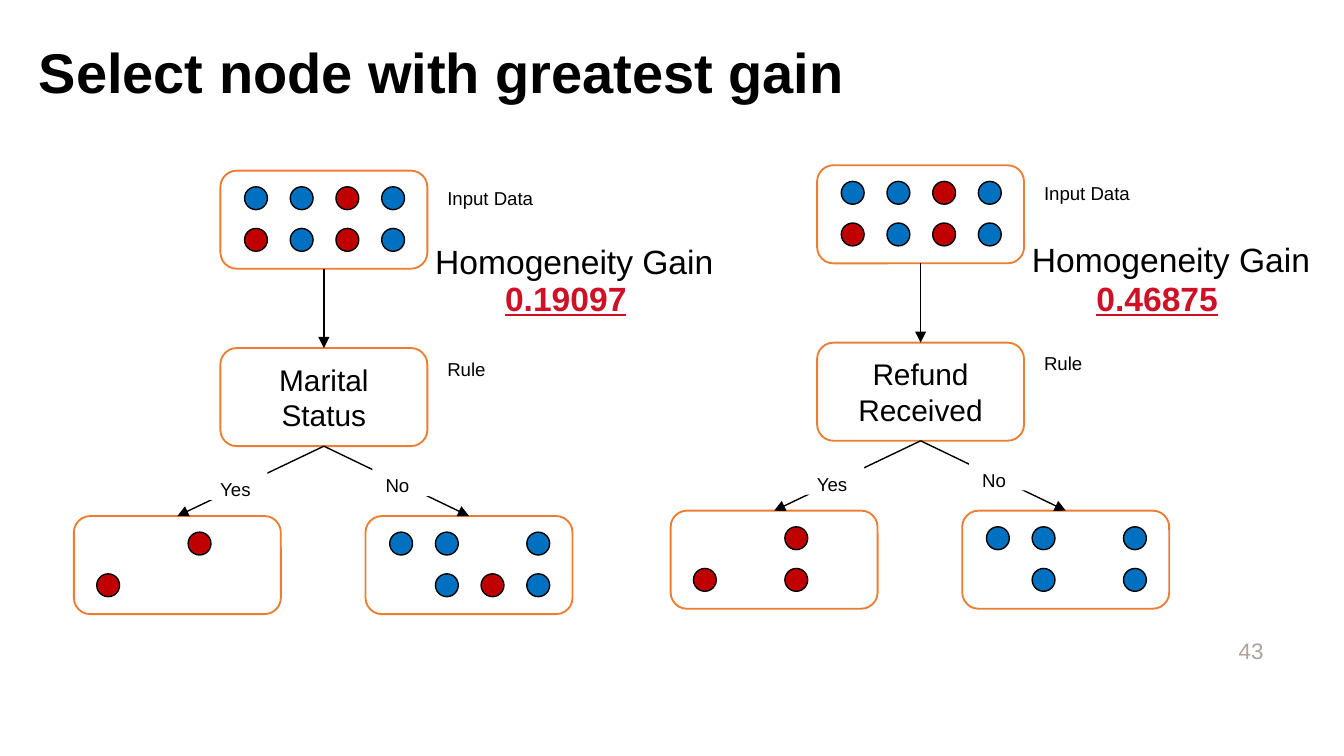
from pptx import Presentation, util as u
from pptx.enum import shapes, text
from pptx.dml.color import RGBColor
from pptx.oxml.ns import qn
from lxml import etree

HUE = {"ink": "000000", "paper": "FFFFFF", "edge": "ED7D31", "B": "0070C0",
       "R": "C00000", "gain": "CE1126", "page": "ACA39A"}
TITLE = "Select node with greatest gain"
PAGE = "43"
DATA = ["BBRB", "RBRB"]
TREES = [
    {"at": (0.55, 1.27), "rule": "Marital Status", "yes": ["..R.", "R..."],
     "no": ["BB.B", ".BRB"], "gain": "0.19097",
     "head": (3.14, 1.74), "value": (3.66, 2.02, 1.34)},
    {"at": (4.99, 1.23), "rule": "Refund Received", "yes": ["..R.", "R.R."],
     "no": ["BB.B", ".B.B"], "gain": "0.46875",
     "head": (7.58, 1.73), "value": (8.06, 2.02, 1.44)},
]
TAGS = [("Yes", 0.99, 2.24, 0.45), ("No", 2.22, 2.21, 0.45),
        ("Input Data", 2.68, 0.07, 1.26), ("Rule", 2.68, 1.34, 1.26)]
BOX_W, BOX_H, DOT = 1.54, 0.73, 0.17
MID, LEAF = 1.09, 2.17
RULE_Y, LEAF_Y = 1.32, 2.57

AL, AN, SH = text.PP_ALIGN, text.MSO_ANCHOR, shapes.MSO_SHAPE
prs = Presentation()
prs.slide_width = u.Inches(10)
prs.slide_height = prs.slide_width * 9 // 16
slide = prs.slides.add_slide(prs.slide_layouts[6])


def color(key):
    return RGBColor.from_string(HUE[key])


def write(shape, words, size, hue="ink", bold=False, under=False,
          align=AL.LEFT, anchor=AN.TOP):
    frame = shape.text_frame
    frame.word_wrap = True
    frame.vertical_anchor = anchor
    para = frame.paragraphs[0]
    para.alignment = align
    run = para.add_run()
    run.text = words
    font = run.font
    font.name, font.size = "Arial", u.Pt(size)
    font.bold, font.underline = bold, under
    font.color.rgb = color(hue)
    return para


def label(words, x, y, w, h, size, **look):
    area = slide.shapes.add_textbox(*map(u.Inches, (x, y, w, h)))
    return write(area, words, size, **look)


def draw(kind, x, y, w, h, fill="paper", line=None, width=1):
    shape = slide.shapes.add_shape(kind, *map(u.Inches, (x, y, w, h)))
    shape.shadow.inherit = False
    shape.fill.solid()
    shape.fill.fore_color.rgb = color(fill)
    if line:
        shape.line.color.rgb = color(line)
        shape.line.width = u.Pt(width)
    else:
        shape.line.fill.background()
    return shape


def node(x, y, rows=(), inset=0.18):
    box = draw(SH.ROUNDED_RECTANGLE, x, y, BOX_W, BOX_H, line="edge")
    for r, row in enumerate(rows):
        for c, key in enumerate(row):
            if key != ".":
                draw(SH.OVAL, x + inset + 0.34 * c, y + 0.12 + 0.31 * r,
                     DOT, DOT, key, "ink", 0.75)
    return box


def arrow(*ends):
    link = slide.shapes.add_connector(shapes.MSO_CONNECTOR.STRAIGHT,
                                      *map(u.Inches, ends))
    link.line.color.rgb = color("ink")
    link.line.width = u.Pt(0.75)
    etree.SubElement(link.line._get_or_add_ln(), qn("a:tailEnd"), type="triangle")
    etree.SubElement(link._element.spPr, qn("a:effectLst"))


def plant(tree):
    x, y = tree["at"]
    half = BOX_W / 2
    stem = x + MID + half
    node(x + MID, y, DATA)
    rule = node(x + MID, y + RULE_Y)
    write(rule, tree["rule"], 16, align=AL.CENTER, anchor=AN.MIDDLE)
    arrow(stem, y + BOX_H, stem, y + RULE_Y)
    for key, dx, inset in (("yes", 0, 0.17), ("no", LEAF, 0.18)):
        node(x + dx, y + LEAF_Y, tree[key], inset)
        arrow(stem, y + RULE_Y + BOX_H, x + dx + half, y + LEAF_Y)
    for words, dx, dy, w in TAGS:
        write(draw(SH.RECTANGLE, x + dx, y + dy, w, 0.21), words, 10)
    label("Homogeneity Gain", *tree["head"], 2.7, 0.4, 18)
    label(tree["gain"], *tree["value"], 0.4, 18,
          hue="gain", bold=True, under=True)


title = label(TITLE, 0.19, 0.09, 9.81, 0.94, 30, bold=True, anchor=AN.MIDDLE)
title.line_spacing = 0.9
label(PAGE, 7.17, 4.69, 2.33, 0.3, 12, hue="page", align=AL.RIGHT, anchor=AN.MIDDLE)
for tree in TREES:
    plant(tree)
prs.save("out.pptx")
